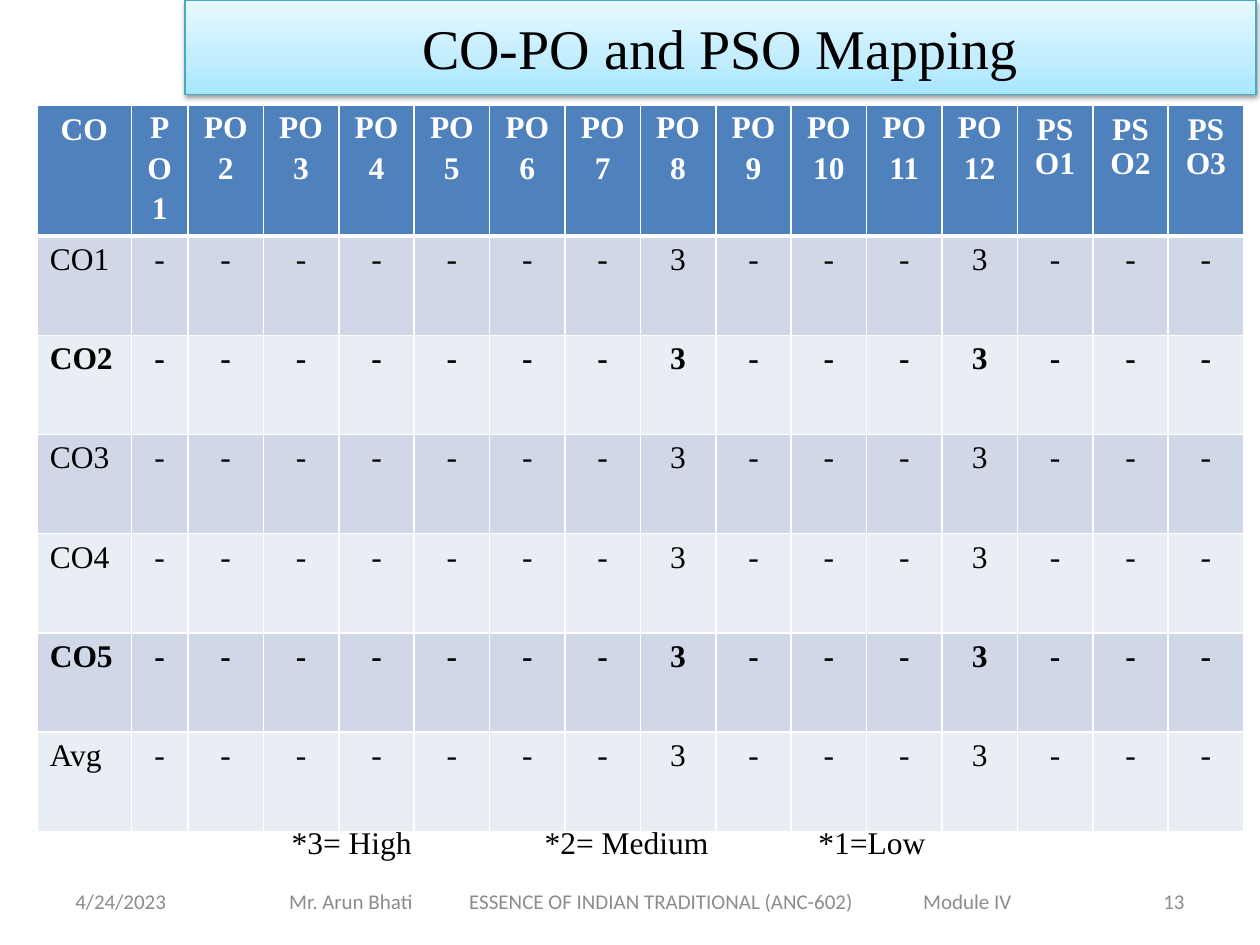
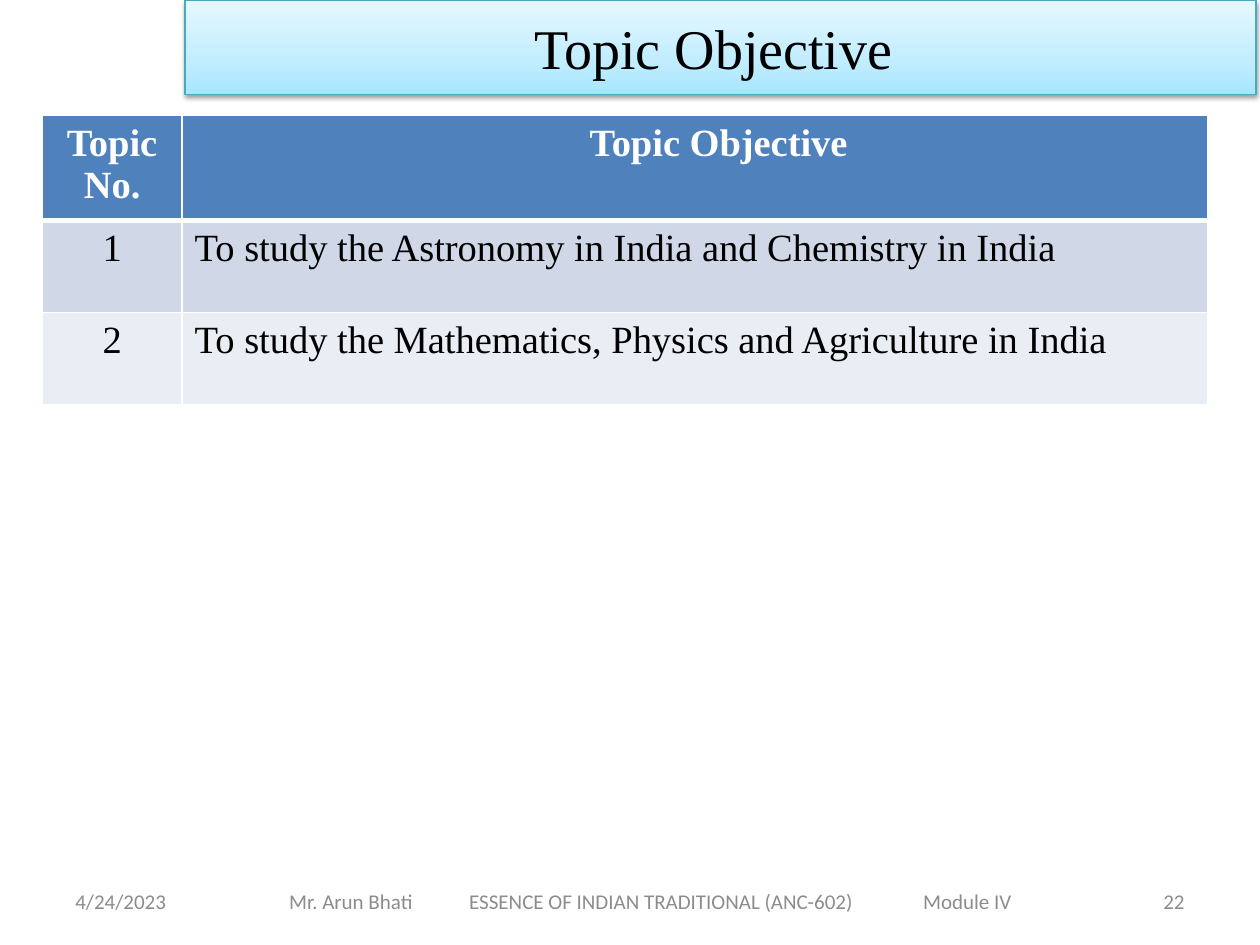
from lxml.etree import SubElement
from pptx import Presentation
from pptx.dml.color import RGBColor
from pptx.enum.shapes import MSO_SHAPE
from pptx.enum.text import MSO_ANCHOR, PP_ALIGN
from pptx.oxml import parse_xml
from pptx.oxml.ns import nsdecls, qn
from pptx.util import Cm, Pt

COLORS = {
    "white": "FFFFFF", "black": "000000", "footer": "8C8C8C",
    "header": "4F81BD", "odd": "D0D8E8", "even": "E9EDF4",
    "band_edge": "46AAC5",
}
BAND_STOPS = [(0, "A7E6FF"), (35, "C1EDFF"), (100, "E7F8FF")]
SERIF, SANS = "Times New Roman", "Calibri"

DATE = "4/24/2023"
FOOTER = "Mr. Arun Bhati\tESSENCE OF INDIAN TRADITIONAL (ANC-602)\tModule IV"
FOOTER_TABS = [3.63, 12.78]

OUTCOMES = ["CO1", "CO2", "CO3", "CO4", "CO5", "Avg"]
BOLD_OUTCOMES = ["CO2", "CO5"]
PROGRAM = [f"PO{n}" for n in range(1, 13)]
SPECIFIC = [f"PSO{n}" for n in range(1, 4)]
SCORES = {"PO8": "3", "PO12": "3"}
LEGEND = "*3= High\t*2= Medium\t*1=Low"
LEGEND_TABS = [5.1, 10.62]

OBJECTIVES = [
    ("Topic No.", "Topic Objective"),
    ("1", "To study the Astronomy in India and Chemistry in India"),
    ("2", "To study the Mathematics, Physics and Agriculture in India"),
]


def write(frame, text, size, font, color, align=PP_ALIGN.LEFT, bold=False, tabs=()):
    paragraph = frame.paragraphs[0]
    paragraph.text = text
    paragraph.alignment = align
    if tabs:
        tab_list = SubElement(paragraph._p.get_or_add_pPr(), qn("a:tabLst"))
        for stop in tabs:
            SubElement(tab_list, qn("a:tab"), pos=str(Cm(stop)), algn="l")
    for run in paragraph.runs:
        run.font.size = Pt(size)
        run.font.name = font
        run.font.bold = bold
        run.font.color.rgb = RGBColor.from_string(COLORS[color])
    return paragraph


def add_text(slide, box, text, size, font, color, align=PP_ALIGN.LEFT, inset=0.25, tabs=()):
    frame = slide.shapes.add_textbox(*map(Cm, box)).text_frame
    frame.word_wrap = True
    frame.vertical_anchor = MSO_ANCHOR.MIDDLE
    frame.margin_left = Cm(inset)
    write(frame, text, size, font, color, align, tabs=tabs)


def add_title_band(slide, title):
    band = slide.shapes.add_shape(MSO_SHAPE.RECTANGLE, Cm(3.73), 0, Cm(21.59), Cm(1.9))
    band.line.color.rgb = RGBColor.from_string(COLORS["band_edge"])
    band.line.width = Pt(0.75)
    stops = "".join(
        f'<a:gs pos="{position * 1000}"><a:srgbClr val="{color}"/></a:gs>'
        for position, color in BAND_STOPS)
    band._element.spPr.insert(2, parse_xml(
        f'<a:gradFill {nsdecls("a")} rotWithShape="1"><a:gsLst>{stops}</a:gsLst>'
        '<a:lin ang="16200000" scaled="0"/></a:gradFill>'))
    band.shadow.inherit = False
    band._element.spPr.find(qn("a:effectLst")).append(parse_xml(
        f'<a:outerShdw {nsdecls("a")} blurRad="{Pt(3.1)}" dist="{Pt(1.6)}" dir="5400000" '
        f'rotWithShape="0"><a:srgbClr val="{COLORS["black"]}"><a:alpha val="38000"/>'
        '</a:srgbClr></a:outerShdw>'))
    band.text_frame.vertical_anchor = MSO_ANCHOR.MIDDLE
    write(band.text_frame, title, 32, SERIF, "black", PP_ALIGN.CENTER)


def start_slide(deck, title, number):
    slide = deck.slides.add_slide(deck.slide_layouts[6])
    add_text(slide, (1.27, 17.65, 5.92, 1.02), DATE, 12, SANS, "footer")
    add_text(slide, (4.45, 17.65, 17.35, 1.02), FOOTER, 12, SANS, "footer",
             inset=1.38, tabs=FOOTER_TABS)
    add_text(slide, (18.21, 17.65, 5.92, 1.02), str(number), 12, SANS, "footer", PP_ALIGN.RIGHT)
    add_title_band(slide, title)
    return slide


def draw_borders(cell, row):
    widths = {"L": 1, "R": 1, "T": 3 if row == 1 else 1, "B": 3 if row == 0 else 1}
    for side, width in widths.items():
        cell._tc.get_or_add_tcPr().append(parse_xml(
            f'<a:ln{side} {nsdecls("a")} w="{Pt(width)}"><a:solidFill>'
            f'<a:srgbClr val="{COLORS["white"]}"/></a:solidFill></a:ln{side}>'))


def add_grid(slide, left, top, widths, heights, rows, size, aligns, bold_rows=()):
    grid = slide.shapes.add_table(
        len(rows), len(widths), Cm(left), Cm(top), Cm(sum(widths)), Cm(sum(heights))).table
    for column, width in zip(grid.columns, widths):
        column.width = Cm(width)
    for r, (row, height) in enumerate(zip(rows, heights)):
        grid.rows[r].height = Cm(height)
        shade = "header" if r == 0 else "odd" if r % 2 else "even"
        for c, text in enumerate(row):
            cell = grid.cell(r, c)
            draw_borders(cell, r)
            cell.fill.solid()
            cell.fill.fore_color.rgb = RGBColor.from_string(COLORS[shade])
            write(cell.text_frame, text, size, SERIF,
                  "black" if r else "white",
                  aligns[c] if r else PP_ALIGN.CENTER,
                  r == 0 or row[0] in bold_rows)
    return grid


def build_mapping(deck):
    slide = start_slide(deck, "CO-PO and PSO Mapping", 13)
    targets = PROGRAM + SPECIFIC
    rows = [["CO"] + targets]
    rows += [[outcome] + [SCORES.get(target, "-") for target in targets] for outcome in OUTCOMES]
    mapping = add_grid(
        slide, 0.75, 2.13, [1.9, 1.14] + [1.52] * (len(targets) - 1),
        [1.37] + [2] * len(OUTCOMES), rows, 18,
        [PP_ALIGN.LEFT] + [PP_ALIGN.CENTER] * len(targets), BOLD_OUTCOMES)
    for c in range(1, len(PROGRAM) + 1):
        heading = mapping.cell(0, c)
        heading.margin_left = heading.margin_right = Cm(0.18)
        heading.margin_top = heading.margin_bottom = 0
        heading.text_frame.paragraphs[0].line_spacing = 1.15
    add_text(slide, (5.5, 16.13, 13.55, 1.7), LEGEND, 18, SERIF, "black",
             inset=0.38, tabs=LEGEND_TABS)


def build_objectives(deck):
    slide = start_slide(deck, "Topic Objective ", 22)
    objectives = add_grid(
        slide, 0.85, 2.33, [2.82, 20.67], [2.12, 1.85, 1.85], OBJECTIVES, 22,
        [PP_ALIGN.CENTER, PP_ALIGN.JUSTIFY])
    objectives.cell(0, 1).margin_left = Cm(1.22)


def main():
    deck = Presentation()
    deck.slide_width, deck.slide_height = Cm(25.4), Cm(19.05)
    build_mapping(deck)
    build_objectives(deck)
    deck.save("out.pptx")


if __name__ == "__main__":
    main()
